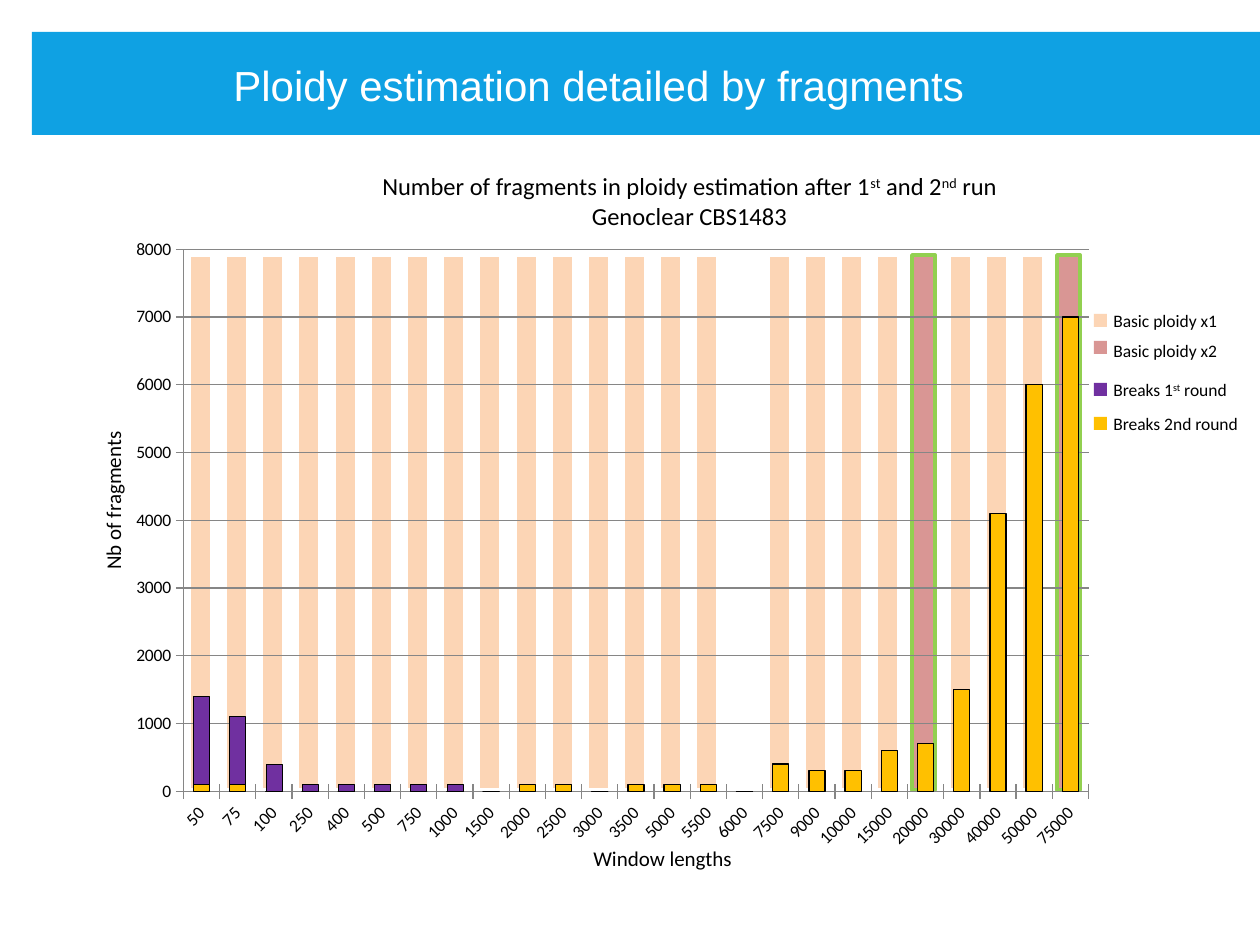
from lxml.etree import SubElement
from pptx import Presentation
from pptx.chart.data import CategoryChartData
from pptx.dml.color import RGBColor
from pptx.enum.chart import XL_CHART_TYPE, XL_TICK_MARK
from pptx.enum.shapes import MSO_SHAPE
from pptx.enum.text import PP_ALIGN
from pptx.oxml import parse_xml
from pptx.oxml.ns import nsdecls, qn
from pptx.util import Pt

PX = 914400 / 126

WHITE = RGBColor(0xFF, 0xFF, 0xFF)
BLACK = RGBColor(0x00, 0x00, 0x00)
BLUE = RGBColor(0x0F, 0xA1, 0xE3)
PEACH = RGBColor(0xFC, 0xD5, 0xB5)
ROSE = RGBColor(0xD9, 0x96, 0x94)
GREEN = RGBColor(0x92, 0xD0, 0x50)
PURPLE = RGBColor(0x70, 0x30, 0xA0)
GOLD = RGBColor(0xFF, 0xC0, 0x00)
GRAY = RGBColor(0x86, 0x86, 0x86)

WINDOWS = [50, 75, 100, 250, 400, 500, 750, 1000, 1500, 2000, 2500, 3000, 3500,
           5000, 5500, 6000, 7500, 9000, 10000, 15000, 20000, 30000, 40000,
           50000, 75000]
SECOND_ROUND = [100, 100, 0, 0, 0, 0, 0, 0, 0, 100, 100, 0, 100, 100, 100, 0,
                400, 300, 300, 600, 700, 1500, 4100, 6000, 7000]
FIRST_ROUND = [1300, 1000, 400, 100, 100, 100, 100, 100] + [0] * 17
NO_PLOIDY = {6000}
DOUBLE_PLOIDY = {20000, 75000}


def px(*values):
    return [round(v * PX) for v in values]


def add_rect(shapes, box, fill, line=None):
    sp = shapes.add_shape(MSO_SHAPE.RECTANGLE, *px(*box))
    sp.shadow.inherit = False
    sp.fill.solid()
    sp.fill.fore_color.rgb = fill
    if line is None:
        sp.line.fill.background()
    else:
        sp.line.color.rgb = line
        sp.line.width = Pt(2)
    return sp


def add_text(shapes, box, lines, size, color=BLACK, font="Calibri",
             align=PP_ALIGN.LEFT, wrap=True):
    """Add a text box; in each line, every second part split by ^ is raised."""
    sp = shapes.add_textbox(*px(*box))
    tf = sp.text_frame
    tf.word_wrap = wrap
    for i, line in enumerate(lines):
        p = tf.add_paragraph() if i else tf.paragraphs[0]
        p.alignment = align
        p.font.size = Pt(size)
        p.font.name = font
        p.font.color.rgb = color
        for j, part in enumerate(line.split("^")):
            r = p.add_run()
            r.text = part
            if j % 2:
                r._r.get_or_add_rPr().set("baseline", "30000")
    return sp


def add_ploidy_bands(s, x, y, w, h):
    shapes = s.shapes.add_group_shape().shapes
    band = 23
    step = (w - band) / (len(WINDOWS) - 1)
    for i, window in enumerate(WINDOWS):
        if window in NO_PLOIDY:
            continue
        fill, line = (ROSE, GREEN) if window in DOUBLE_PLOIDY else (PEACH, WHITE)
        add_rect(shapes, (x + round(i * step), y, band, h), fill, line)


def add_header(s, x, y, w, h):
    add_rect(s.shapes, (x, y, w, h), BLUE)
    add_text(s.shapes, (x + 189, y + 21, 969, 63),
             ["Ploidy estimation detailed by fragments"], 24, WHITE, "Arial")


def add_legend(s, x, y):
    ploidy = s.shapes
    breaks = s.shapes.add_group_shape().shapes
    entries = [
        (ploidy, 10, 0, PEACH, "Basic ploidy x1"),
        (ploidy, 37, 30, ROSE, "Basic ploidy x2"),
        (breaks, 79, 69, PURPLE, "Breaks 1^st^ round"),
        (breaks, 113, 103, GOLD, "Breaks 2nd round"),
    ]
    for shapes, key_top, text_top, color, label in entries:
        add_rect(shapes, (x, y + key_top, 13, 13), color)
        add_text(shapes, (x + 7, y + text_top, 174, 35), [label], 10)


def set_plot_area(chart, x, y, w, h):
    """Fix the inner plot area by fractions and leave chart and plot unfilled."""
    plot_area = chart._chartSpace.chart.plotArea
    layout = plot_area.find(qn("c:layout"))
    if layout is None:
        layout = parse_xml(f"<c:layout {nsdecls('c')}/>")
        plot_area.insert(0, layout)
    manual = SubElement(layout, qn("c:manualLayout"))
    for tag, val in [("layoutTarget", "inner"), ("xMode", "edge"),
                     ("yMode", "edge"), ("x", x), ("y", y), ("w", w), ("h", h)]:
        SubElement(manual, qn(f"c:{tag}")).set("val", str(val))
    clear = (f"<c:spPr {nsdecls('c', 'a')}><a:noFill/>"
             "<a:ln><a:noFill/></a:ln></c:spPr>")
    plot_area.append(parse_xml(clear))
    chart._chartSpace.chart.addnext(parse_xml(clear))


def add_fragment_chart(s, x, y, w, h):
    data = CategoryChartData()
    data.categories = [str(window) for window in WINDOWS]
    data.add_series("Series 1", SECOND_ROUND)
    data.add_series("Series 2", FIRST_ROUND)
    chart = s.shapes.add_chart(
        XL_CHART_TYPE.COLUMN_STACKED, *px(x, y, w, h), data).chart
    chart.has_legend = False
    chart.has_title = False
    chart.font.size = Pt(10)
    chart.font.name = "Calibri"
    chart.font.color.rgb = BLACK

    plot = chart.plots[0]
    plot.vary_by_categories = False
    plot.overlap = 100
    plot.gap_width = 125
    for series, color, width in zip(plot.series, (GOLD, PURPLE), (0.75, 0.25)):
        series.format.fill.solid()
        series.format.fill.fore_color.rgb = color
        series.format.line.color.rgb = BLACK
        series.format.line.width = Pt(width)

    value_axis, category_axis = chart.value_axis, chart.category_axis
    for axis in (value_axis, category_axis):
        axis.major_tick_mark = XL_TICK_MARK.CROSS
        axis.minor_tick_mark = XL_TICK_MARK.NONE
        axis.format.line.color.rgb = GRAY
    value_axis.minimum_scale = 0
    value_axis.maximum_scale = 8000
    value_axis.major_unit = 1000
    value_axis.has_major_gridlines = True
    value_axis.major_gridlines.format.line.color.rgb = GRAY
    category_axis.tick_labels.font.size = Pt(10)
    body = category_axis._element.find(qn("c:txPr")).find(qn("a:bodyPr"))
    body.set("rot", "-2700000")
    set_plot_area(chart, 0.09, 0.05, 0.82, 0.77)


def add_chart_titles(s, x, y):
    add_text(s.shapes, (x + 169, y - 49, 873, 111),
             ["Number of fragments in ploidy estimation after 1^st^ and 2^nd^ run",
              "Genoclear CBS1483"], 14, align=PP_ALIGN.CENTER)
    axis_title = add_text(s.shapes, (x - 70, y + 250, 198, 38),
                          ["Nb of fragments"], 12)
    axis_title.rotation = 270
    add_text(s.shapes, (x + 497, y + 625, 165, 38), ["Window lengths"], 12,
             wrap=False)


def main():
    prs = Presentation()
    prs.slide_width, prs.slide_height = px(1260, 945)
    s = prs.slides.add_slide(prs.slide_layouts[6])
    add_ploidy_bands(s, 189, 255, 891, 535)
    add_header(s, 32, 32, 1228, 103)
    add_chart_titles(s, 84, 214)
    add_legend(s, 1094, 304)
    add_fragment_chart(s, 84, 214, 1104, 704)
    prs.save("out.pptx")


if __name__ == "__main__":
    main()
